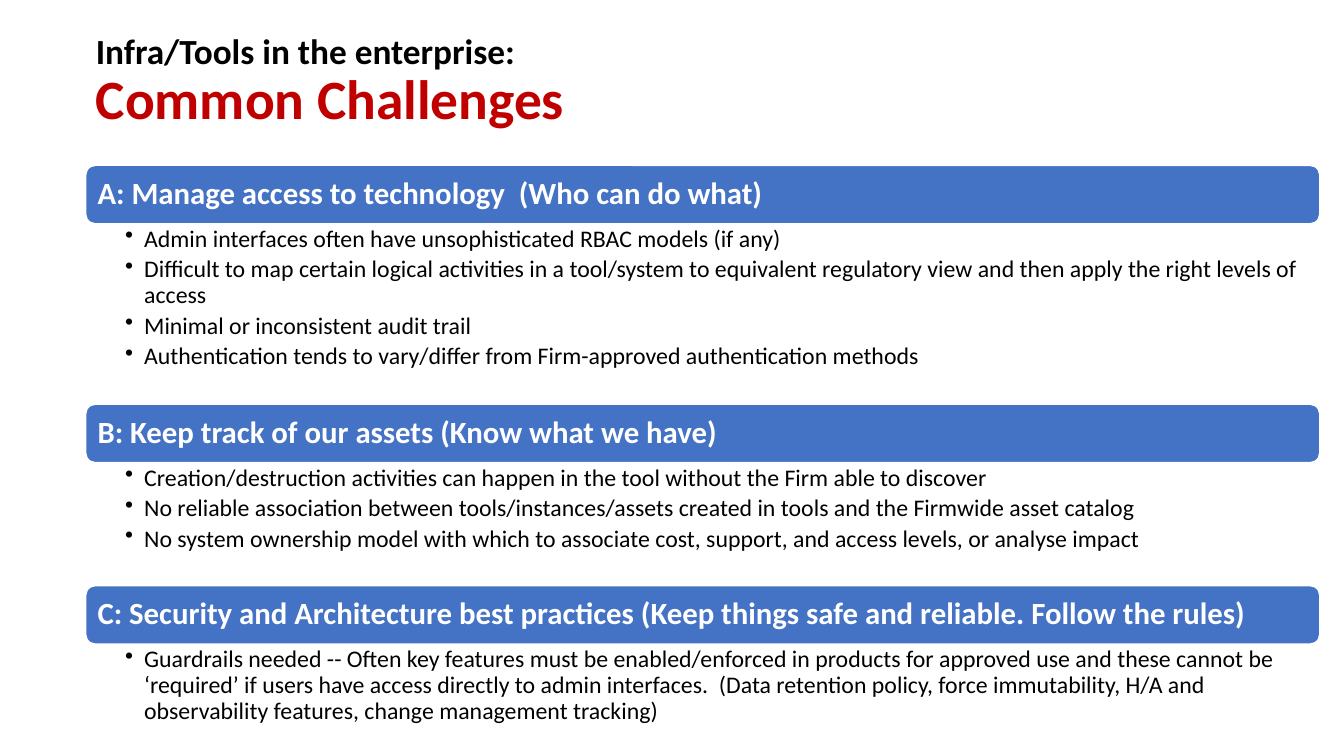
from pptx import Presentation
from pptx.dml.color import RGBColor
from pptx.enum.shapes import MSO_SHAPE as Shape
from pptx.enum.text import MSO_ANCHOR as Anchor, MSO_AUTO_SIZE as Fit, PP_ALIGN as Align
from pptx.oxml.ns import qn
from pptx.util import Inches, Pt
from lxml.etree import SubElement

BLACK = RGBColor(0x00, 0x00, 0x00)
WHITE = RGBColor(0xFF, 0xFF, 0xFF)
RED = RGBColor(0xC0, 0x00, 0x00)
BLUE = RGBColor(0x44, 0x72, 0xC4)
FONT = "Calibri"

TITLE = [
    ("Infra/Tools in the enterprise: ", 25.2, BLACK),
    ("Common Challenges", 39.6, RED),
]

# heading, height of the list below it, list items
PARTS = [
    ("A: Manage access to technology  (Who can do what)", 1.79, [
        "Admin interfaces often have unsophisticated RBAC models (if any) ",
        "Difficult to map certain logical activities in a tool/system to equivalent "
        "regulatory view and then apply the right levels of access",
        "Minimal or inconsistent audit trail",
        "Authentication tends to vary/differ from Firm-approved authentication methods",
    ]),
    ("B: Keep track of our assets (Know what we have)", 1.22, [
        "Creation/destruction activities can happen in the tool without the Firm "
        "able to discover ",
        "No reliable association between tools/instances/assets created in tools "
        "and the Firmwide asset catalog",
        "No system ownership model with which to associate cost, support, and "
        "access levels, or analyse impact",
    ]),
    ("C: Security and Architecture best practices "
     "(Keep things safe and reliable. Follow the rules)", 0.85, [
        "Guardrails needed -- Often key features must be enabled/enforced in products "
        "for approved use and these cannot be ‘required’ if users have access directly "
        "to admin interfaces.  (Data retention policy, force immutability, H/A and "
        "observability features, change management tracking)",
    ]),
]

LEFT, TOP, WIDTH, BAR = 0.85, 1.64, 12.24, 0.58
INDENT = 0.19


def set_frame(frame, left, side, edge, anchor):
    """Set the insets, wrapping and anchor of a text frame."""
    frame.word_wrap = True
    frame.auto_size = Fit.NONE
    frame.margin_left, frame.margin_right = Inches(left), Inches(side)
    frame.margin_top = frame.margin_bottom = Inches(edge)
    frame.vertical_anchor = anchor


def style(para, size, color, after, bold=False):
    """Set the font and spacing of a paragraph."""
    para.alignment = Align.LEFT
    para.line_spacing = 0.9
    para.space_before, para.space_after = Pt(0), Pt(after)
    font = para.font
    font.name, font.size, font.bold = FONT, Pt(size), bold
    font.color.rgb = color


def add_bullet(para):
    """Give a paragraph a hanging round bullet."""
    props = para._p.get_or_add_pPr()
    props.set("marL", str(Inches(INDENT)))
    props.set("indent", str(-Inches(INDENT)))
    mark = SubElement(props, qn("a:buChar"))
    mark.set("char", "•")
    # the bullet must come before the default run properties
    props.find(qn("a:defRPr")).addprevious(mark)


def fill_title(title):
    """Place the title and write its two lines."""
    title.left, title.top = Inches(LEFT), Inches(0.55)
    title.width, title.height = Inches(11.5), Inches(0.54)
    set_frame(title.text_frame, 0.1, 0.1, 0.05, Anchor.MIDDLE)
    para = title.text_frame.paragraphs[0]
    para.alignment, para.line_spacing = Align.LEFT, 0.9
    for i, (text, size, color) in enumerate(TITLE):
        if i:
            para.add_line_break()
        run = para.add_run()
        run.text = text
        font = run.font
        font.name, font.size, font.bold = FONT, Pt(size), True
        font.color.rgb = color


def add_bar(slide, top, text):
    """Draw a heading bar."""
    bar = slide.shapes.add_shape(Shape.ROUNDED_RECTANGLE, Inches(LEFT), Inches(top),
                                 Inches(WIDTH), Inches(BAR))
    bar.shadow.inherit = False
    bar.fill.solid()
    bar.fill.fore_color.rgb = BLUE
    bar.line.color.rgb = WHITE
    bar.line.width = Pt(1)
    # the rounded corners add a little to the left and right insets
    set_frame(bar.text_frame, 0.09, 0.09, 0.09, Anchor.MIDDLE)
    para = bar.text_frame.paragraphs[0]
    para.text = text
    style(para, 22, WHITE, 0, bold=True)


def add_list(slide, top, height, items):
    """Write the bulleted list under a bar."""
    box = slide.shapes.add_textbox(Inches(LEFT), Inches(top), Inches(WIDTH), Inches(height))
    frame = box.text_frame
    set_frame(frame, 0.39, 0.17, 0.03, Anchor.TOP)
    for i, item in enumerate(items):
        para = frame.add_paragraph() if i else frame.paragraphs[0]
        para.text = item
        para.level = 1
        style(para, 17, BLACK, 3.4)
        add_bullet(para)


deck = Presentation()
deck.slide_width, deck.slide_height = Inches(13.33), Inches(7.5)
slide = deck.slides.add_slide(deck.slide_layouts[5])
fill_title(slide.shapes.title)

top = TOP
for head, height, items in PARTS:
    add_bar(slide, top, head)
    add_list(slide, top + BAR, height, items)
    top += BAR + height

deck.save("out.pptx")
